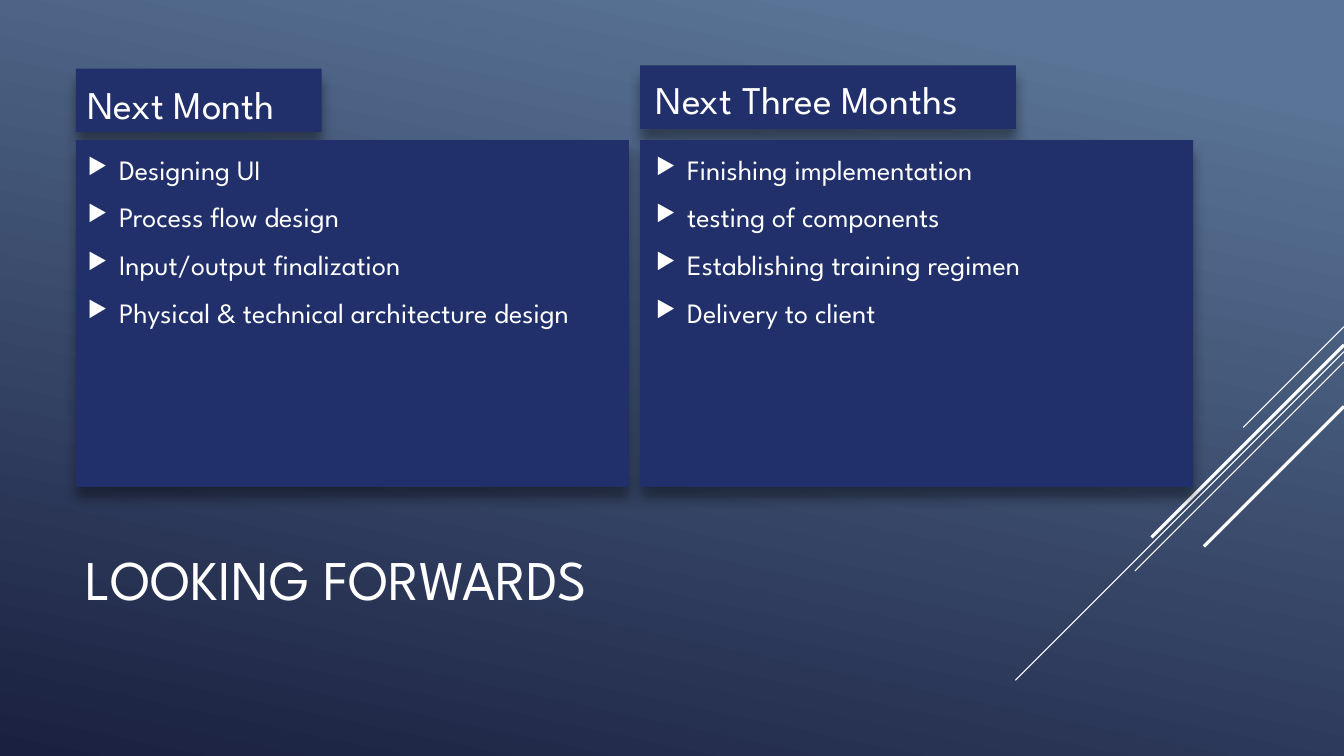
from dataclasses import dataclass

from lxml.etree import SubElement
from pptx import Presentation
from pptx.dml.color import RGBColor
from pptx.enum.shapes import MSO_CONNECTOR, MSO_SHAPE
from pptx.enum.text import MSO_ANCHOR, MSO_AUTO_SIZE, PP_ALIGN
from pptx.oxml.ns import qn
from pptx.slide import Slide
from pptx.text.text import TextFrame, _Paragraph
from pptx.util import Cm, Pt

FONT = "League Spartan"
WHITE = "FFFFFF"
NAVY = "21306A"
SLIDE_W, SLIDE_H = 33.87, 19.05
PANEL_TOP, PANEL_W, PANEL_H = 3.53, 13.94, 8.74
TAB_H = 1.6


@dataclass
class Box:
    left: float
    top: float
    width: float
    height: float

    def lengths(self) -> tuple[Cm, Cm, Cm, Cm]:
        return Cm(self.left), Cm(self.top), Cm(self.width), Cm(self.height)


@dataclass
class Column:
    left: float
    tab_top: float
    tab_width: float
    text_left: float
    heading_top: float
    heading: str
    items: list[str]


@dataclass
class Ray:
    """A 45° line running down and left from the slide's right edge."""
    top: float
    run: float
    weight: float


COLUMNS = [
    Column(1.91, 1.73, 6.2, 1.96, 1.73, "Next Month", [
        "Designing UI",
        "Process flow design",
        "Input/output finalization",
        "Physical & technical architecture design",
    ]),
    Column(16.13, 1.65, 9.47, 16.28, 1.6, "Next Three Months", [
        "Finishing implementation",
        "testing of components",
        "Establishing training regimen",
        "Delivery to client",
    ]),
]
RAYS = [
    Ray(8.23, 2.54, 0.75),
    Ray(8.86, 8.28, 0.75),
    Ray(9.12, 5.27, 0.75),
    Ray(8.69, 4.85, 2.25),
    Ray(10.24, 3.53, 2.25),
]


def rgb(value: str) -> RGBColor:
    return RGBColor.from_string(value)


def paint_background(s: Slide) -> None:
    fill = s.background.fill
    fill.gradient()
    fill.gradient_angle = 258
    for stop, position, color in zip(fill.gradient_stops, (0.1, 1), ("597496", "1A2040")):
        stop.position = position
        stop.color.rgb = rgb(color)


def add_ray(s: Slide, ray: Ray) -> None:
    line = s.shapes.add_connector(
        MSO_CONNECTOR.STRAIGHT, Cm(SLIDE_W), Cm(ray.top),
        Cm(SLIDE_W - ray.run), Cm(ray.top + ray.run))
    line.line.color.rgb = rgb(WHITE)
    line.line.width = Pt(ray.weight)
    SubElement(line._element.spPr, qn("a:effectLst"))


def add_panel(s: Slide, box: Box) -> None:
    sp = s.shapes.add_shape(MSO_SHAPE.RECTANGLE, *box.lengths())
    sp.fill.solid()
    sp.fill.fore_color.rgb = rgb(NAVY)
    sp.line.fill.background()
    sp.shadow.inherit = False
    effects = sp._element.spPr.find(qn("a:effectLst"))
    shadow = SubElement(effects, qn("a:outerShdw"), blurRad=str(Pt(9)),
                        dist=str(Pt(8)), dir="5400000", algn="ctr", rotWithShape="0")
    color = SubElement(shadow, qn("a:srgbClr"), val="000000")
    SubElement(color, qn("a:alpha"), val="40000")


def add_run(p: _Paragraph, text: str, size: float) -> None:
    r = p.add_run()
    r.text = text
    r.font.size = Pt(size)
    r.font.name = FONT
    r.font.color.rgb = rgb(WHITE)


def set_spacing(p: _Paragraph) -> None:
    """Put 20% of a line before the paragraph and 6 pt after it."""
    before = SubElement(p._p.get_or_add_pPr(), qn("a:spcBef"))
    SubElement(before, qn("a:spcPct"), val="20000")
    p.space_after = Pt(6)


def add_bullet(p: _Paragraph) -> None:
    pPr = p._p.get_or_add_pPr()
    pPr.set("marL", str(Cm(0.79)))
    pPr.set("indent", str(-Cm(0.79)))
    SubElement(SubElement(pPr, qn("a:buClr")), qn("a:srgbClr"), val=WHITE)
    SubElement(pPr, qn("a:buSzPct"), val="80000")
    SubElement(pPr, qn("a:buChar"), char="▶")


def add_text(s: Slide, box: Box, anchor: MSO_ANCHOR) -> TextFrame:
    tf = s.shapes.add_textbox(*box.lengths()).text_frame
    tf.word_wrap = True
    tf.auto_size = MSO_AUTO_SIZE.NONE
    tf.vertical_anchor = anchor
    return tf


def add_column(s: Slide, col: Column) -> None:
    add_panel(s, Box(col.left, col.tab_top, col.tab_width, TAB_H))
    add_panel(s, Box(col.left, PANEL_TOP, PANEL_W, PANEL_H))

    heading_box = Box(col.text_left, col.heading_top, col.tab_width, TAB_H)
    p = add_text(s, heading_box, MSO_ANCHOR.BOTTOM).paragraphs[0]
    set_spacing(p)
    add_run(p, col.heading, 28)

    tf = add_text(s, Box(col.text_left, 3.71, 13.7, 8.41), MSO_ANCHOR.TOP)
    for i, item in enumerate(col.items):
        p = tf.add_paragraph() if i else tf.paragraphs[0]
        set_spacing(p)
        add_bullet(p)
        add_run(p, item, 20)


def set_title(s: Slide, text: str, box: Box) -> None:
    title = s.shapes.title
    title.left, title.top, title.width, title.height = box.lengths()
    tf = title.text_frame
    tf.word_wrap = True
    tf.auto_size = MSO_AUTO_SIZE.NONE
    tf.vertical_anchor = MSO_ANCHOR.MIDDLE
    p = tf.paragraphs[0]
    p.alignment = PP_ALIGN.LEFT
    add_run(p, text, 40)


def main() -> None:
    prs = Presentation()
    prs.slide_width, prs.slide_height = Cm(SLIDE_W), Cm(SLIDE_H)
    s = prs.slides.add_slide(prs.slide_layouts.get_by_name("Title Only"))
    paint_background(s)
    for ray in RAYS:
        add_ray(s, ray)
    for col in COLUMNS:
        add_column(s, col)
    set_title(s, "LOOKING FORWARDS", Box(1.91, 12.47, 23.7, 4.19))
    prs.save("out.pptx")


if __name__ == "__main__":
    main()
